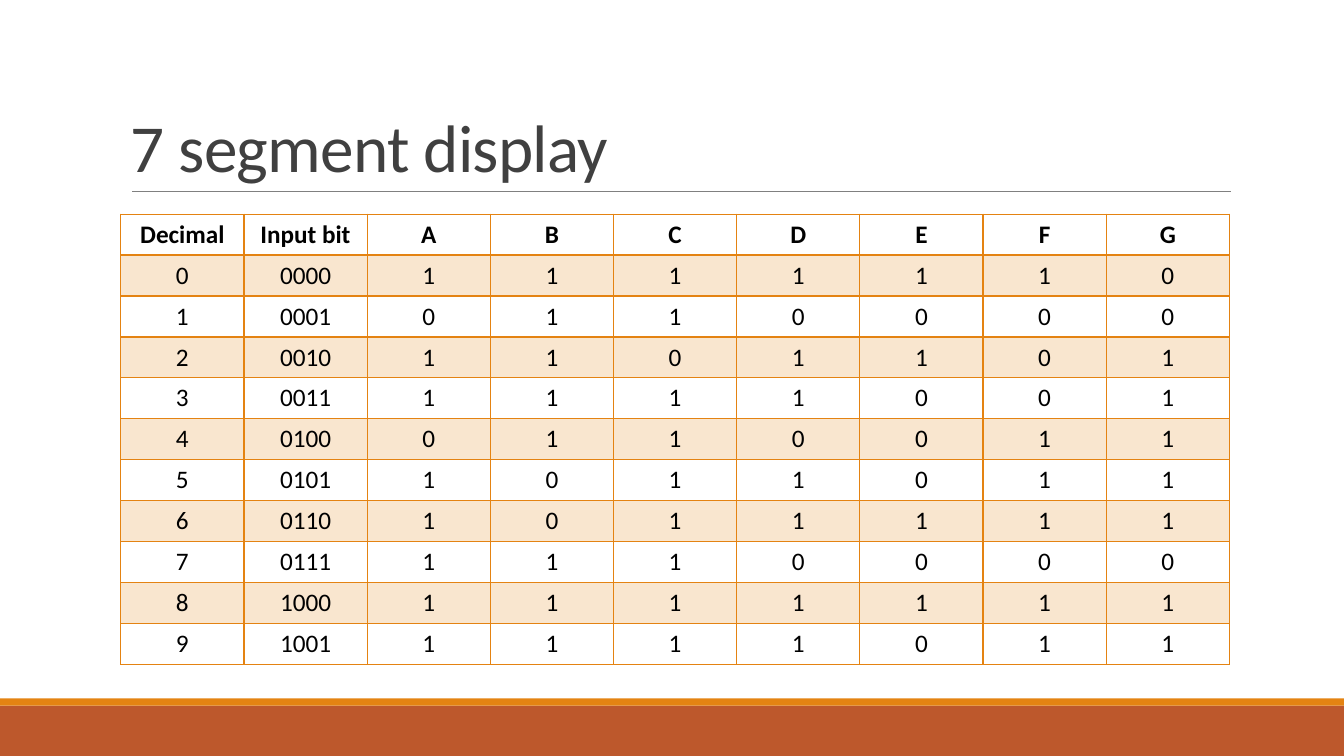
"""Build a slide with the truth table of a seven-segment display."""
from dataclasses import dataclass

from lxml.etree import SubElement
from pptx import Presentation
from pptx.dml.color import RGBColor
from pptx.enum.shapes import MSO_CONNECTOR as Connector, MSO_SHAPE as Shape
from pptx.enum.text import MSO_ANCHOR as Anchor, PP_ALIGN as Align
from pptx.oxml.ns import qn
from pptx.util import Pt

EMU_PER_PX = 9525


@dataclass(frozen=True)
class Theme:
    font: str = "Calibri"
    orange: str = "E48312"
    rust: str = "BD582C"
    rule: str = "808080"
    title: str = "404040"
    text: str = "000000"
    title_size: int = 48
    cell_size: int = 18
    rule_width: float = 0.5
    border_width: int = 1
    header_width: int = 2
    band_opacity: int = 20


@dataclass(frozen=True)
class Area:
    left: int
    top: int
    width: int
    height: int

    def emu(self) -> tuple[int, ...]:
        return tuple(px(n) for n in (self.left, self.top, self.width, self.height))


@dataclass(frozen=True)
class Bar:
    area: Area
    color: str


THEME = Theme()
PAGE = Area(0, 0, 1280, 720)
TITLE = Area(115, 30, 1056, 152)
TABLE = Area(115, 204, 1056, 429)
RULE = Area(126, 182, 1046, 0)
BARS = (
    Bar(Area(0, 672, 1280, 48), THEME.rust),
    Bar(Area(0, 665, 1280, 7), THEME.orange),
)
HEADER = ("Decimal", "Input bit", *"ABCDEFG")
SEGMENTS = (
    "1111110", "0110000", "1101101", "1111001", "0110011",
    "1011011", "1011111", "1110000", "1111111", "1111011",
)


def px(length: int) -> int:
    return length * EMU_PER_PX


def rgb(color: str) -> RGBColor:
    return RGBColor.from_string(color)


def write(frame, text: str, *, size: int, color: str, bold: bool = False,
          align: Align = Align.LEFT, line_spacing: float = 1.0, tracking: int = 0) -> None:
    para = frame.paragraphs[0]
    para.alignment = align
    para.line_spacing = line_spacing
    span = para.add_run()
    span.text = text
    span.font.name = THEME.font
    span.font.size = Pt(size)
    span.font.bold = bold
    span.font.color.rgb = rgb(color)
    if tracking:
        span.font._element.set("spc", str(tracking))


def draw_bar(page, bar: Bar) -> None:
    box = page.shapes.add_shape(Shape.RECTANGLE, *bar.area.emu())
    box.shadow.inherit = False
    box.fill.solid()
    box.fill.fore_color.rgb = rgb(bar.color)
    box.line.fill.background()


def draw_rule(page, area: Area) -> None:
    left, top, width, height = area.emu()
    rule = page.shapes.add_connector(
        Connector.STRAIGHT, left, top, left + width, top + height)
    rule.line.color.rgb = rgb(THEME.rule)
    rule.line.width = Pt(THEME.rule_width)
    SubElement(rule._element.spPr, qn("a:effectLst"))


def draw_title(page, text: str) -> None:
    frame = page.shapes.add_textbox(*TITLE.emu()).text_frame
    frame.word_wrap = True
    frame.vertical_anchor = Anchor.BOTTOM
    write(frame, text, size=THEME.title_size, color=THEME.title,
          line_spacing=0.85, tracking=-50)


def set_borders(cell, **widths: int) -> None:
    properties = cell._tc.get_or_add_tcPr()
    for side in ("L", "R", "T", "B"):
        width = widths.get(side, THEME.border_width)
        line = SubElement(properties, qn(f"a:ln{side}"), w=str(Pt(width)))
        fill = SubElement(line, qn("a:solidFill"))
        SubElement(fill, qn("a:srgbClr"), val=THEME.orange)


def set_fill(cell, banded: bool) -> None:
    if not banded:
        cell.fill.background()
        return
    cell.fill.solid()
    cell.fill.fore_color.rgb = rgb(THEME.orange)
    color = cell._tc.tcPr.find(f"{qn('a:solidFill')}/{qn('a:srgbClr')}")
    SubElement(color, qn("a:alpha"), val=str(THEME.band_opacity * 1000))


def draw_table(page, rows: list[tuple[str, ...]]) -> None:
    table = page.shapes.add_table(len(rows), len(HEADER), *TABLE.emu()).table
    table.first_row = table.horz_banding = False
    for row, values in enumerate(rows):
        header_edge = {0: {"B": THEME.header_width}, 1: {"T": THEME.header_width}}
        for column, value in enumerate(values):
            cell = table.cell(row, column)
            cell.vertical_anchor = Anchor.MIDDLE
            set_borders(cell, **header_edge.get(row, {}))
            set_fill(cell, banded=row % 2 == 1)
            write(cell.text_frame, value, size=THEME.cell_size, color=THEME.text,
                  bold=row == 0, align=Align.CENTER)


def main() -> None:
    deck = Presentation()
    deck.slide_width, deck.slide_height = px(PAGE.width), px(PAGE.height)
    page = deck.slides.add_slide(deck.slide_layouts[6])
    for bar in BARS:
        draw_bar(page, bar)
    draw_rule(page, RULE)
    draw_title(page, "7 segment display")
    digits = [(str(digit), f"{digit:04b}", *segments)
              for digit, segments in enumerate(SEGMENTS)]
    draw_table(page, [HEADER, *digits])
    deck.save("out.pptx")


if __name__ == "__main__":
    main()
